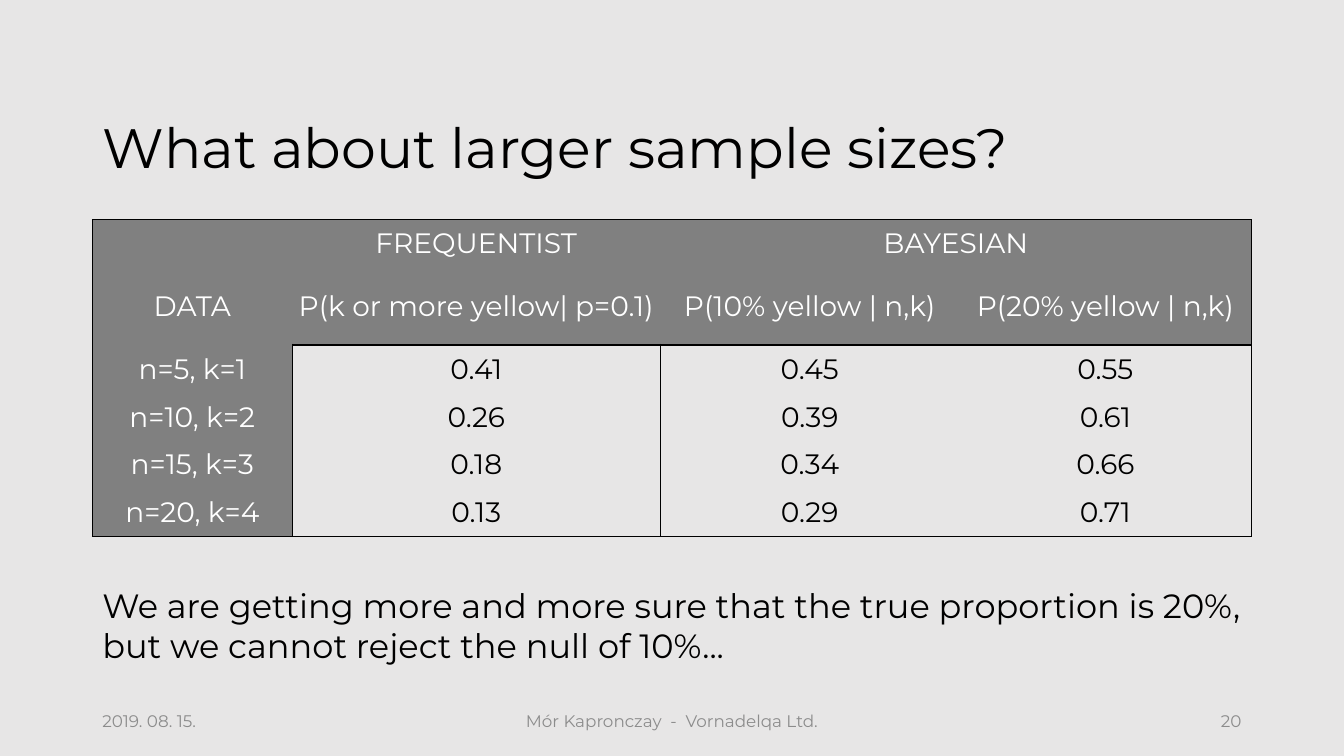
from lxml import etree
from pptx import Presentation, util as u
from pptx.dml.color import RGBColor
from pptx.enum import text as t
from pptx.oxml import ns

BLACK = RGBColor(0, 0, 0)
WHITE = RGBColor(255, 255, 255)
GRAY = RGBColor(0x80, 0x80, 0x80)
PALE = RGBColor(0xE7, 0xE6, 0xE6)
DIM = RGBColor(0x8C, 0x8C, 0x8C)

# Slide grid: 160 columns by 90 rows, twelve to the inch
UNIT = u.Inches(1) / 12
LEFT, WIDE = 11, 138

ALIGN = t.PP_ALIGN
MIDDLE = t.MSO_ANCHOR.MIDDLE

COLS = [23.8, 43.8, 35.6, 34.8]
ROWS = [5.65, 9.25] + [5.7] * 4
HEAD = 2  # number of header rows
DATA = [
    ["", "FREQUENTIST", "BAYESIAN", ""],
    ["DATA", "P(k or more yellow| p=0.1)", "P(10% yellow | n,k)", "P(20% yellow | n,k)"],
    ["n=5, k=1", "0.41", "0.45", "0.55"],
    ["n=10, k=2", "0.26", "0.39", "0.61"],
    ["n=15, k=3", "0.18", "0.34", "0.66"],
    ["n=20, k=4", "0.13", "0.29", "0.71"],
]


def grid(*sizes):
    return [round(size * UNIT) for size in sizes]


def style(item, form):
    for key, val in form.items():
        setattr(item, key, val)


def write(frame, words, size, color, align=ALIGN.LEFT, **form):
    style(frame, {"word_wrap": True, "auto_size": t.MSO_AUTO_SIZE.NONE, **form})
    para = frame.paragraphs[0]
    para.alignment = align
    run = para.add_run()
    run.text = words
    style(run.font, {"name": "Montserrat", "size": u.Pt(size), "bold": False})
    run.font.color.rgb = color
    return para


def add_text(slide, box, *args, **form):
    shape = slide.shapes.add_textbox(*grid(*box))
    write(shape.text_frame, *args, **form)


def add_title(slide, box, words):
    title = slide.shapes.title
    style(title, dict(zip(("left", "top", "width", "height"), grid(*box))))
    para = write(title.text_frame, words, 39.6, BLACK, vertical_anchor=MIDDLE)
    para.line_spacing = 0.9


def side_rule(row, col):
    """Width of the upright line left of a column."""
    if col in (0, len(COLS)):
        return 1
    return 0.5 if row >= HEAD and col < 3 else 0


def flat_rule(row, col):
    """Width of the level line above a row."""
    if row in (0, len(ROWS)):
        return 1
    return 2 if row == HEAD and col > 0 else 0


def add_edges(cell, edges):
    props = cell._tc.get_or_add_tcPr()
    for spot, (side, width) in enumerate(edges.items()):
        line = etree.Element(ns.qn("a:ln" + side), w=str(u.Pt(width)))
        if width:
            fill = etree.SubElement(line, ns.qn("a:solidFill"))
            etree.SubElement(fill, ns.qn("a:srgbClr"), val=str(BLACK))
        else:
            etree.SubElement(line, ns.qn("a:noFill"))
        props.insert(spot, line)


def fill_cell(cell, row, col, words):
    shaded = row < HEAD or col == 0
    if shaded:
        cell.fill.solid()
        cell.fill.fore_color.rgb = GRAY
    else:
        cell.fill.background()
    pad = u.Inches(0.01)
    style(cell, {"vertical_anchor": MIDDLE, "margin_left": pad, "margin_right": pad,
                 "margin_top": pad, "margin_bottom": 0})
    if words:
        para = cell.text_frame.paragraphs[0]
        para.alignment = ALIGN.CENTER
        run = para.add_run()
        run.text = words
        style(run.font, {"name": "Montserrat", "size": u.Pt(20)})
        run.font.color.rgb = WHITE if shaded else BLACK
    end = col + (cell.span_width if cell.is_merge_origin else 1)
    add_edges(cell, {"L": side_rule(row, col), "R": side_rule(row, end),
                     "T": flat_rule(row, col), "B": flat_rule(row + 1, col)})


def add_grid(slide, top):
    box = grid(LEFT, top, sum(COLS), sum(ROWS))
    table = slide.shapes.add_table(len(ROWS), len(COLS), *box).table
    style(table, {"first_row": False, "horz_banding": False})
    for col, width in zip(table.columns, grid(*COLS)):
        col.width = width
    for row, height in zip(table.rows, grid(*ROWS)):
        row.height = height
    table.cell(0, 2).merge(table.cell(0, 3))
    for row, line in enumerate(DATA):
        for col, words in enumerate(line):
            fill_cell(table.cell(row, col), row, col, words)


def main():
    deck = Presentation()
    deck.slide_width, deck.slide_height = grid(160, 90)
    slide = deck.slides.add_slide(deck.slide_layouts[5])
    back = slide.background.fill
    back.solid()
    back.fore_color.rgb = PALE

    # Title and table
    add_title(slide, (LEFT, 13.7, WIDE, 8.5), "What about larger sample sizes?")
    add_grid(slide, 26.15)

    # Conclusion
    add_text(slide, (LEFT, 69, WIDE, 10.9),
             "We are getting more and more sure that the true proportion is 20%, "
             "but we cannot reject the null of 10%...", 24, BLACK)

    # Footer
    for left, width, words, align in (
        (LEFT, 36, "2019. 08. 15.", ALIGN.LEFT),
        (53, 54, "Mór Kapronczay  -  Vornadelqa Ltd.", ALIGN.CENTER),
        (113, 36, "20", ALIGN.RIGHT),
    ):
        add_text(slide, (left, 83.4, width, 4.8), words, 12, DIM, align,
                 vertical_anchor=MIDDLE)

    deck.save("out.pptx")


if __name__ == "__main__":
    main()
